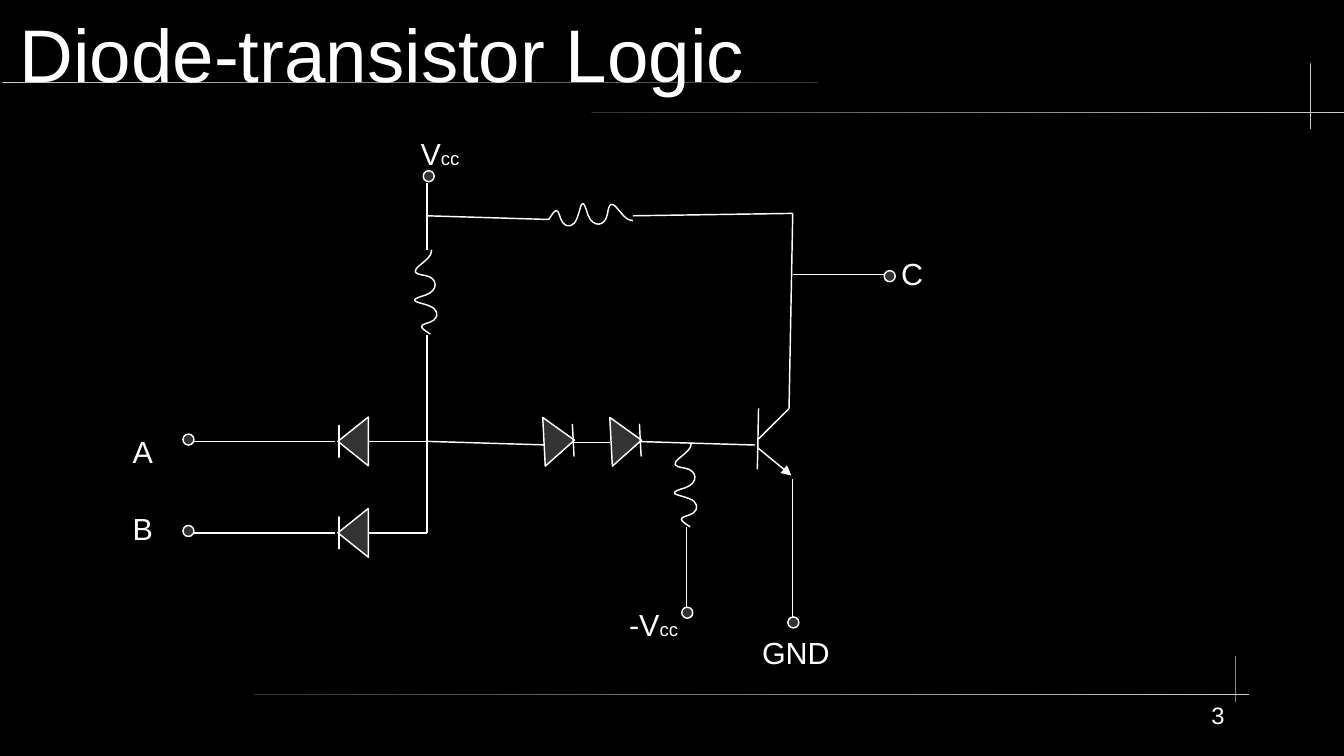
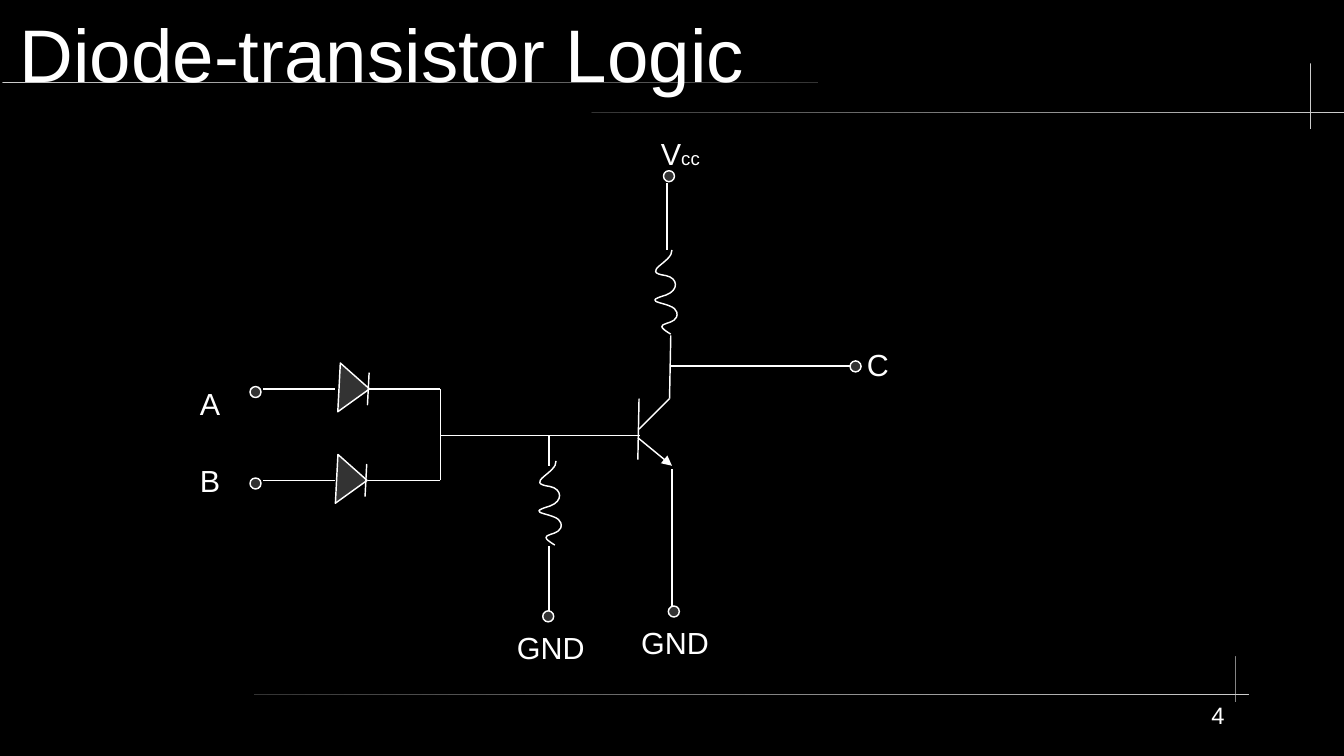
import itertools
import math

import lxml.etree
import pptx
import pptx.dml.color
import pptx.enum.dml
import pptx.enum.shapes
import pptx.enum.text
import pptx.oxml.ns
import pptx.util

WHITE = pptx.dml.color.RGBColor(0xFF, 0xFF, 0xFF)
BLACK = pptx.dml.color.RGBColor(0x00, 0x00, 0x00)
LIGHT = pptx.dml.color.RGBColor(0xCC, 0xCC, 0xCC)
DARK = pptx.dml.color.RGBColor(0x33, 0x33, 0x33)
FONT = "Arial"
LINE_WIDTH = pptx.util.Pt(0.85)
SHAPE = pptx.enum.shapes.MSO_SHAPE
ALIGN = pptx.enum.text.PP_ALIGN
AUTO_SIZE = pptx.enum.text.MSO_AUTO_SIZE
qn = pptx.oxml.ns.qn

# Content: all coordinates are in grid units of 2.54 cm
UNIT = 2.54
SLIDE_SIZE = (11.02, 6.2)
TITLE = "Diode-transistor Logic"
VCC = [("V", 18), ("cc", 11)]
MINUS_VCC = [("-V", 18), ("cc", 11)]
A, B, C, GND = ([(text, 18)] for text in ("A", "B", "C", "GND"))

# Template rules: left, top, width, height, colour from, colour to
RULES = [
    (0.02, 0.67, 6.69, 0.01, LIGHT, DARK),
    (4.85, 0.92, 6.17, 0.01, DARK, LIGHT),
    (10.74, 0.52, 0.01, 0.54, LIGHT, LIGHT),
    (2.08, 5.69, 8.16, 0.01, DARK, LIGHT),
    (10.13, 5.38, 0.01, 0.38, LIGHT, LIGHT),
]

# Wires are chains of points; diodes are tip and angle; resistors are start
# and angle; the transistor is the top of its base bar
CIRCUITS = [
    {
        "number": "3",
        "wires": [
            [(1.59, 3.62), (2.75, 3.62)],
            [(1.59, 4.37), (2.75, 4.37)],
            [(3.02, 3.62), (3.5, 3.62), (4.5, 3.65)],
            [(3.02, 4.37), (3.5, 4.37), (3.5, 2.75)],
            [(3.5, 2.05), (3.5, 1.5)],
            [(3.5, 1.77), (4.5, 1.8)],
            [(5.19, 1.77), (6.5, 1.75), (6.47, 3.35)],
            [(6.5, 2.25), (7.25, 2.25)],
            [(4.71, 3.63), (5, 3.63)],
            [(5.19, 3.62), (6.19, 3.65)],
            [(5.63, 4.32), (5.63, 5)],
            [(6.5, 3.93), (6.5, 5.06)],
        ],
        "diodes": [(2.77, 3.62, 180), (2.77, 4.37, 180),
                   (4.71, 3.61, -3), (5.26, 3.61, -3)],
        "resistors": [(3.54, 2.05, 0), (5.19, 1.81, 90), (5.67, 3.63, 0)],
        "transistor": (6.22, 3.35),
        "terminals": [(1.5, 3.56), (1.5, 4.31), (3.47, 1.4),
                      (7.25, 2.22), (6.46, 5.06), (5.59, 4.98)],
        "labels": [
            (A, 0.99, 3.5, 0.36), (B, 0.99, 4.13, 0.36), (C, 7.29, 2.04, 0.38),
            (GND, 6.15, 5.15, 0.77), (VCC, 3.35, 1.06, 0.52),
            (MINUS_VCC, 5.06, 4.92, 0.81),
        ],
    },
    {
        "number": "4",
        "wires": [
            [(2.16, 3.19), (2.75, 3.19)],
            [(2.16, 3.94), (2.75, 3.94)],
            [(3.02, 3.19), (3.61, 3.19), (3.61, 3.94), (3.02, 3.94)],
            [(3.61, 3.57), (5.25, 3.57)],
            [(4.5, 3.57), (4.5, 3.82)],
            [(4.5, 4.48), (4.5, 5.09)],
            [(5.51, 3.85), (5.51, 4.98)],
            [(5.47, 2.05), (5.47, 1.5)],
            [(5.5, 2.75), (5.49, 3.27)],
            [(5.5, 3), (7, 3)],
        ],
        "diodes": [(3.03, 3.19, 3), (3.01, 3.94, 3)],
        "resistors": [(4.56, 3.78, 0), (5.51, 2.05, 0)],
        "transistor": (5.24, 3.27),
        "terminals": [(2.05, 3.17), (2.05, 3.92), (5.48, 4.97),
                      (4.45, 5.01), (5.44, 1.4), (6.97, 2.96)],
        "labels": [
            (A, 1.54, 3.11, 0.36), (B, 1.54, 3.74, 0.36), (C, 7.01, 2.79, 0.38),
            (GND, 5.16, 5.07, 0.77), (GND, 4.14, 5.11, 0.77),
            (VCC, 5.32, 1.06, 0.52),
        ],
    },
]

# Symbols, relative to their own origin
DIODE_BODY = [(0, 0), (-0.25, -0.2), (-0.25, 0.2), (0, 0)]
DIODE_BAR = [(-0.01, -0.13), (-0.01, 0.13)]
COIL = [  # start, then two control points and an end for each curve
    (0, 0),
    (0.01, 0.1), (-0.27, 0.18), (-0.05, 0.21),
    (0.05, 0.23), (0.06, 0.33), (-0.05, 0.37),
    (-0.29, 0.44), (0.02, 0.42), (0.04, 0.51),
    (0.07, 0.64), (-0.21, 0.57), (-0.01, 0.69),
]
COLLECTOR = [(0.25, 0), (0, 0.25)]
EMITTER = [(0.27, 0.55), (-0.01, 0.32)]
BASE_BAR = [(0, 0), (-0.01, 0.5)]
TERMINAL_SIZE = 0.09
LABEL_HEIGHT = 0.38


def units(*values):
    return [pptx.util.Cm(v * UNIT) for v in values]


def place(points, x, y, angle=0):
    """Turn points by an angle in degrees and move them to x, y."""
    cos, sin = math.cos(math.radians(angle)), math.sin(math.radians(angle))
    return [units(x + a * cos - b * sin, y + a * sin + b * cos)
            for a, b in points]


def outline(shape):
    shape.shadow.inherit = False
    shape.line.color.rgb = WHITE
    shape.line.width = LINE_WIDTH


def add_run(p, text, size):
    r = p.add_run()
    r.text = text
    r.font.name = FONT
    r.font.size = pptx.util.Pt(size)
    r.font.color.rgb = WHITE


def add_wire(s, start, end, arrow=False):
    wire = s.shapes.add_connector(
        pptx.enum.shapes.MSO_CONNECTOR.STRAIGHT, *start, *end)
    wire.line.color.rgb = WHITE
    wire.line.width = LINE_WIDTH
    properties = wire.element.spPr
    if arrow:
        line = properties.find(qn("a:ln"))
        lxml.etree.SubElement(line, qn("a:headEnd"), type="triangle")
    lxml.etree.SubElement(properties, qn("a:effectLst"))


def add_diode(s, x, y, angle):
    body, bar = place(DIODE_BODY, x, y, angle), place(DIODE_BAR, x, y, angle)
    builder = s.shapes.build_freeform(*body[0])
    builder.add_line_segments(body[1:], close=False)
    builder.move_to(*bar[0])
    builder.add_line_segments(bar[1:], close=True)
    diode = builder.convert_to_shape()
    diode.fill.solid()
    diode.fill.fore_color.rgb = DARK
    outline(diode)


def add_resistor(s, x, y, angle):
    points = place(COIL, x, y, angle)
    builder = s.shapes.build_freeform(*points[0])
    builder.add_line_segments(points[1:], close=False)
    resistor = builder.convert_to_shape()
    resistor.fill.background()
    outline(resistor)
    # Each three straight segments become one Bézier curve
    segments = list(resistor.element.iter(qn("a:lnTo")))
    for first, second, third in zip(*[iter(segments)] * 3):
        first.tag = qn("a:cubicBezTo")
        for segment in (second, third):
            first.append(segment[0])
            segment.getparent().remove(segment)


def add_transistor(s, x, y):
    for part in (COLLECTOR, EMITTER, BASE_BAR):
        add_wire(s, *place(part, x, y), arrow=part is EMITTER)


def add_terminal(s, x, y):
    terminal = s.shapes.add_shape(
        SHAPE.OVAL, *units(x, y, TERMINAL_SIZE, TERMINAL_SIZE))
    terminal.fill.solid()
    terminal.fill.fore_color.rgb = DARK
    outline(terminal)


def add_label(s, runs, x, y, width):
    tf = s.shapes.add_textbox(*units(x, y, width, LABEL_HEIGHT)).text_frame
    tf.word_wrap = False
    tf.auto_size = AUTO_SIZE.SHAPE_TO_FIT_TEXT
    for text, size in runs:
        add_run(tf.paragraphs[0], text, size)


def clear_margins(tf):
    tf.margin_left = tf.margin_top = tf.margin_right = tf.margin_bottom = 0


def add_number(s, number):
    tf = s.shapes.add_textbox(*units(8.27, 5.75, 1.77, 0.45)).text_frame
    tf.word_wrap = True
    clear_margins(tf)
    p = tf.paragraphs[0]
    p.alignment = ALIGN.RIGHT
    add_run(p, number, 14)


def set_title(s):
    title = s.shapes.title
    title.left, title.top, title.width, title.height = units(
        0.16, 0.08, 10.43, 0.71)
    tf = title.text_frame
    clear_margins(tf)
    tf.vertical_anchor = pptx.enum.text.MSO_ANCHOR.MIDDLE
    tf.auto_size = AUTO_SIZE.SHAPE_TO_FIT_TEXT
    p = tf.paragraphs[0]
    p.alignment = ALIGN.LEFT
    add_run(p, TITLE, 44)


def decorate_layout(layout, s):
    """Draw the rules on a slide, then move them to its layout."""
    layout.background.fill.solid()
    layout.background.fill.fore_color.rgb = BLACK
    for x, y, width, height, start, end in RULES:
        rule = s.shapes.add_shape(
            SHAPE.ROUNDED_RECTANGLE, *units(x, y, width, height))
        rule.adjustments[0] = 0.5
        rule.shadow.inherit = False
        rule.line.fill.background()
        rule.fill.gradient()
        rule.fill.gradient_angle = 0
        for stop, color, position in zip(
                rule.fill.gradient_stops, (start, end), (0, 1)):
            stop.color.rgb = color
            stop.position = position
        layout.shapes.element.append(rule.element)


def draw_circuit(s, circuit):
    for chain in circuit["wires"]:
        for start, end in itertools.pairwise(place(chain, 0, 0)):
            add_wire(s, start, end)
    for diode in circuit["diodes"]:
        add_diode(s, *diode)
    for resistor in circuit["resistors"]:
        add_resistor(s, *resistor)
    add_transistor(s, *circuit["transistor"])
    for terminal in circuit["terminals"]:
        add_terminal(s, *terminal)
    for label in circuit["labels"]:
        add_label(s, *label)


def main():
    prs = pptx.Presentation()
    prs.slide_width, prs.slide_height = units(*SLIDE_SIZE)
    layout = prs.slide_layouts[5]
    for i, circuit in enumerate(CIRCUITS):
        s = prs.slides.add_slide(layout)
        if i == 0:
            decorate_layout(layout, s)
        set_title(s)
        draw_circuit(s, circuit)
        add_number(s, circuit["number"])
    prs.save("out.pptx")


if __name__ == "__main__":
    main()
